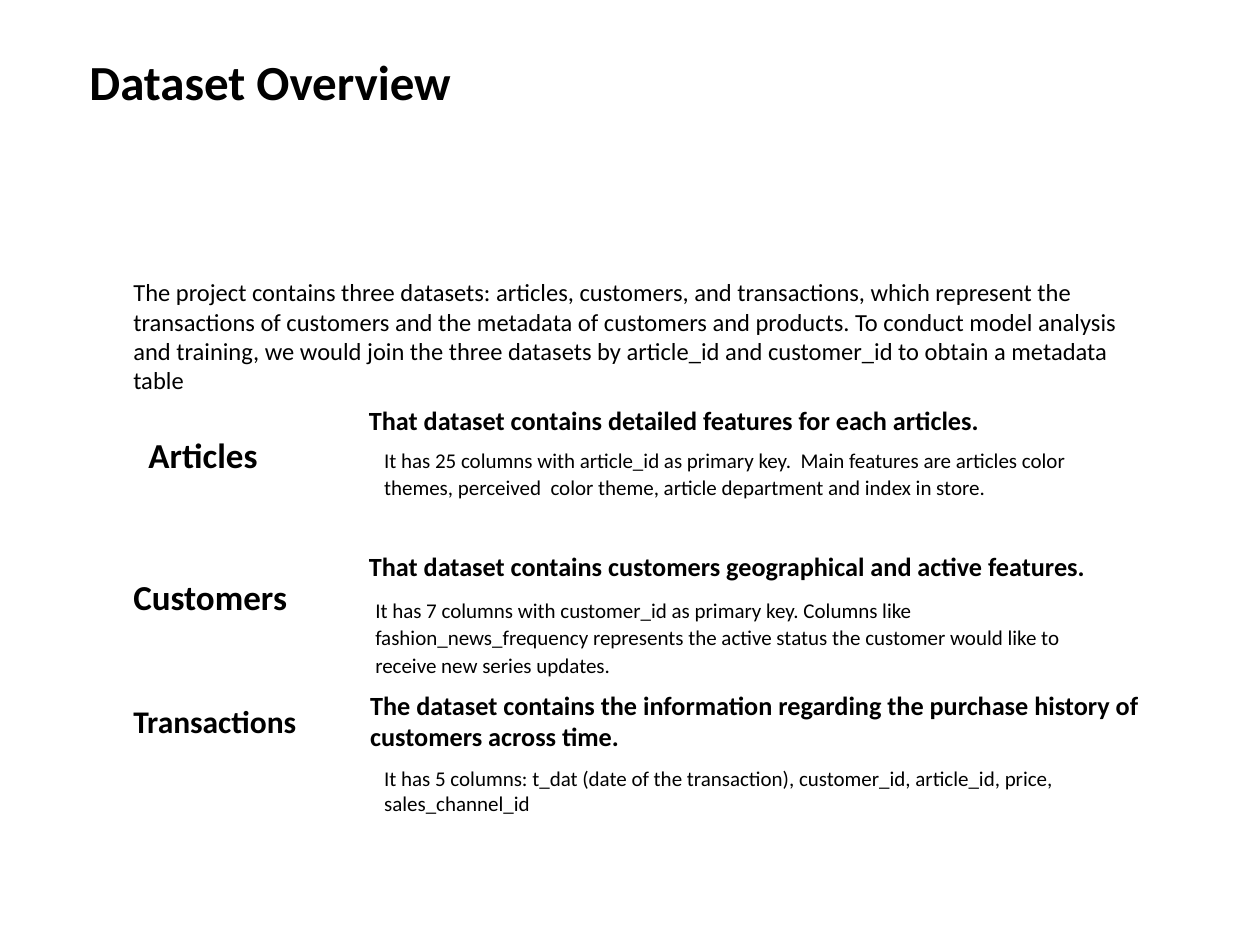
from dataclasses import dataclass

from pptx import Presentation
from pptx.dml.color import RGBColor
from pptx.enum.shapes import MSO_SHAPE
from pptx.enum.text import MSO_ANCHOR, MSO_AUTO_SIZE, PP_ALIGN
from pptx.util import Inches, Pt

RECTANGLE = MSO_SHAPE.RECTANGLE
TOP, MIDDLE = MSO_ANCHOR.TOP, MSO_ANCHOR.MIDDLE
LEFT = PP_ALIGN.LEFT
NO_AUTOFIT = MSO_AUTO_SIZE.NONE

FONT = "Calibri"
COLORS = {"text": "000000", "label": "FFFFFF"}

# Grid of 100 columns and 75 rows over the slide
SLIDE_WIDTH, SLIDE_HEIGHT = Inches(10), Inches(7.5)
COLUMN, ROW = SLIDE_WIDTH / 100, SLIDE_HEIGHT / 75
HEADING_WIDTH, DETAIL_WIDTH = 64, 61.1


@dataclass(frozen=True)
class Box:
    left: float
    top: float
    width: float
    height: float

    def lengths(self) -> tuple[int, int, int, int]:
        return (round(self.left * COLUMN), round(self.top * ROW),
                round(self.width * COLUMN), round(self.height * ROW))


@dataclass(frozen=True)
class Dataset:
    name: str
    name_box: Box
    name_size: int
    heading: str
    heading_box: Box
    detail: str
    detail_box: Box
    detail_spacing: float


DATASETS = [
    Dataset(
        "Articles", Box(10.8, 33.9, 11.3, 4.4), 20,
        "That dataset contains detailed features for each articles.",
        Box(28.3, 31.6, HEADING_WIDTH, 3.5),
        "It has 25 columns with article_id as primary key.  Main features are "
        "articles color themes, perceived  color theme, article department "
        "and index in store.",
        Box(29.5, 34.9, DETAIL_WIDTH, 5.2), 1.09),
    Dataset(
        "Customers", Box(9.6, 45.2, 14.7, 4.4), 20,
        "That dataset contains customers geographical and active features.",
        Box(28.3, 43.2, HEADING_WIDTH, 3.5),
        "It has 7 columns with customer_id as primary key. Columns like "
        "fashion_news_frequency represents the active status the customer "
        "would like to receive new series updates.",
        Box(28.8, 46.8, DETAIL_WIDTH, 7.4), 1.09),
    Dataset(
        "Transactions", Box(9.6, 55.2, 15.4, 4), 18,
        "The dataset contains the information regarding the purchase history "
        "of customers across time.",
        Box(28.4, 54.2, HEADING_WIDTH, 6.1),
        "It has 5 columns: t_dat (date of the transaction), customer_id, "
        "article_id, price, sales_channel_id",
        Box(29.5, 60.2, DETAIL_WIDTH, 5.1), 1),
]

INTRODUCTION = (
    "The project contains three datasets: articles, customers, and "
    "transactions, which represent the transactions of customers and the "
    "metadata of customers and products. To conduct model analysis and "
    "training, we would join the three datasets by article_id and "
    "customer_id to obtain a metadata table")


def write_text(shape, text: str, *, size: float, bold: bool = False,
               anchor=TOP, spacing: float = 1, inset: float = 0.05) -> None:
    """Put one formatted paragraph into a shape."""
    frame = shape.text_frame
    frame.word_wrap = True
    frame.auto_size = NO_AUTOFIT
    frame.vertical_anchor = anchor
    frame.margin_left = frame.margin_right = Inches(0.1)
    frame.margin_top = frame.margin_bottom = Inches(inset)
    paragraph = frame.paragraphs[0]
    paragraph.alignment = LEFT
    paragraph.line_spacing = spacing
    run = paragraph.add_run()
    run.text = text
    run.font.name = FONT
    run.font.size = Pt(size)
    run.font.bold = bold
    run.font.color.rgb = RGBColor.from_string(COLORS["text"])


def add_text(slide, box: Box, text: str, **text_format) -> None:
    write_text(slide.shapes.add_textbox(*box.lengths()), text, **text_format)


def add_label(slide, box: Box, text: str, size: float) -> None:
    shape = slide.shapes.add_shape(RECTANGLE, *box.lengths())
    shape.shadow.inherit = False
    shape.fill.solid()
    shape.fill.fore_color.rgb = RGBColor.from_string(COLORS["label"])
    shape.line.fill.background()
    write_text(shape, text, size=size, bold=True)


def add_dataset(slide, dataset: Dataset) -> None:
    add_label(slide, dataset.name_box, dataset.name, dataset.name_size)
    add_text(slide, dataset.heading_box, dataset.heading, size=15, bold=True)
    add_text(slide, dataset.detail_box, dataset.detail, size=12,
             anchor=MIDDLE, spacing=dataset.detail_spacing)


def main() -> None:
    presentation = Presentation()
    presentation.slide_width = SLIDE_WIDTH
    presentation.slide_height = SLIDE_HEIGHT
    slide = presentation.slides.add_slide(presentation.slide_layouts[5])

    # Title
    title = slide.shapes.title
    title.left, title.top, title.width, title.height = Box(
        6.1, 3.6, 36.8, 5.7).lengths()
    write_text(title, "Dataset Overview", size=28, bold=True)

    # Introduction
    add_text(slide, Box(9.6, 21, 83.1, 11.4), INTRODUCTION, size=14, inset=0.1)

    # One block for each dataset
    for dataset in DATASETS:
        add_dataset(slide, dataset)

    presentation.save("out.pptx")


if __name__ == "__main__":
    main()
